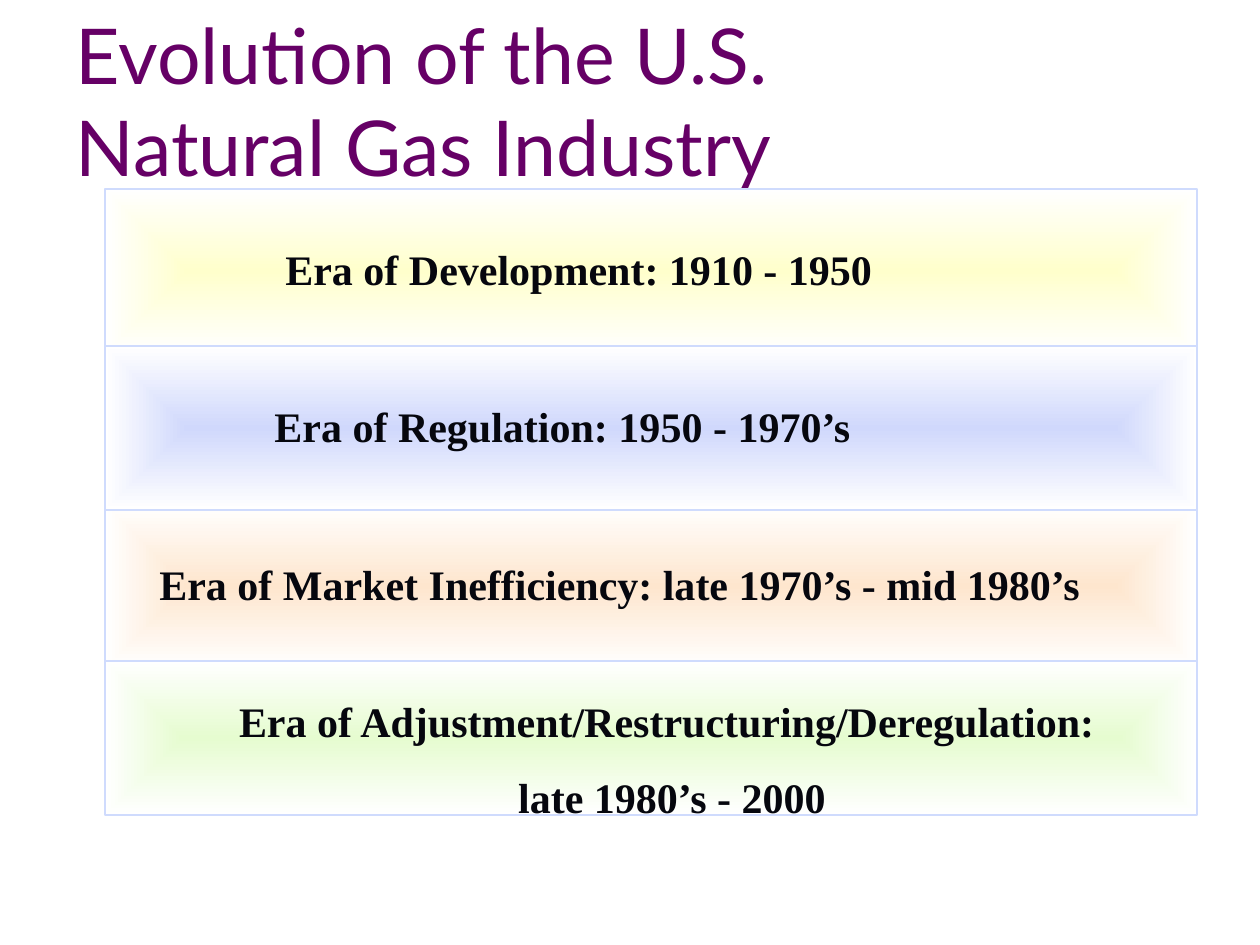
from pptx import Presentation
from pptx.dml.color import RGBColor
from pptx.enum.shapes import MSO_SHAPE
from pptx.enum.text import MSO_ANCHOR, MSO_AUTO_SIZE, PP_ALIGN
from pptx.oxml import parse_xml
from pptx.oxml.ns import nsdecls, qn
from pptx.util import Emu, Inches, Pt

PURPLE = RGBColor(0x66, 0x00, 0x66)
INK = RGBColor(0x06, 0x07, 0x0E)
OUTLINE = RGBColor(0xCF, 0xDB, 0xFD)
WHITE = RGBColor(0xFF, 0xFF, 0xFF)
YELLOW = RGBColor(0xFF, 0xFF, 0xCC)
BLUE = RGBColor(0xD0, 0xD8, 0xFC)
ORANGE = RGBColor(0xFE, 0xE6, 0xCE)
GREEN = RGBColor(0xE6, 0xFC, 0xD0)

PX_PER_INCH = 126
BAND_LEFT, BAND_WIDTH = 105, 1092


def px(*lengths):
    return [Emu(round(length * Inches(1) / PX_PER_INCH)) for length in lengths]


class SlideBuilder:
    title_font = "Lato"
    body_font = "Times New Roman"

    def __init__(self, slide):
        self.slide = slide

    def title(self, text, left, top, width, height):
        title = self.slide.shapes.title
        title.left, title.top, title.width, title.height = px(left, top, width, height)
        frame = title.text_frame
        frame.auto_size = MSO_AUTO_SIZE.NONE
        frame.vertical_anchor = MSO_ANCHOR.MIDDLE
        frame.text = text
        paragraph = frame.paragraphs[0]
        paragraph.alignment = PP_ALIGN.LEFT
        self.format_font(paragraph.font, self.title_font, 44, PURPLE)

    def format_font(self, font, name, size, color, bold=False):
        font.name = name
        font.size = Pt(size)
        font.color.rgb = color
        font.bold = bold

    def band(self, top, height, color):
        shape = self.slide.shapes.add_shape(
            MSO_SHAPE.RECTANGLE, *px(BAND_LEFT, top, BAND_WIDTH, height))
        shape.shadow.inherit = False
        shape.line.color.rgb = OUTLINE
        shape.line.width = Pt(0.75)
        shape.fill.gradient()
        for stop, stop_color in zip(shape.fill.gradient_stops, (color, WHITE)):
            stop.color.rgb = stop_color
        gradient = shape._element.spPr.find(qn("a:gradFill"))
        gradient.replace(gradient.find(qn("a:lin")), parse_xml(
            f'<a:path {nsdecls("a")} path="rect">'
            '<a:fillToRect l="50000" t="50000" r="50000" b="50000"/></a:path>'))

    def label(self, lines, left, top, width, height, alignment):
        frame = self.slide.shapes.add_textbox(*px(left, top, width, height)).text_frame
        frame.word_wrap = True
        frame.auto_size = MSO_AUTO_SIZE.SHAPE_TO_FIT_TEXT
        frame.text = "\n".join(lines)
        for index, paragraph in enumerate(frame.paragraphs):
            paragraph.alignment = alignment
            if index:
                paragraph.space_before = Pt(15)
            self.format_font(paragraph.font, self.body_font, 24, INK, bold=True)


def main():
    presentation = Presentation()
    presentation.slide_width, presentation.slide_height = Inches(10), Inches(7.5)
    builder = SlideBuilder(presentation.slides.add_slide(presentation.slide_layouts[5]))

    builder.title("Evolution of the U.S. \vNatural Gas Industry", 63, 53, 1144, 94)

    bands = [
        (504, 164, ORANGE),
        (189, 164, YELLOW),
        (346, 164, BLUE),
        (661, 154, GREEN),
    ]
    for band in bands:
        builder.band(*band)

    labels = [
        (["Era of Development: 1910 - 1950"], 273, 237, 756, 63, PP_ALIGN.LEFT),
        (["Era of Regulation: 1950 - 1970’s"], 262, 394, 714, 63, PP_ALIGN.LEFT),
        (["Era of Market Inefficiency: late 1970’s - mid 1980’s"],
         147, 552, 1040, 63, PP_ALIGN.LEFT),
        (["Era of Adjustment/Restructuring/Deregulation: ", "late 1980’s - 2000"],
         189, 689, 966, 140, PP_ALIGN.CENTER),
    ]
    for label in labels:
        builder.label(*label)

    presentation.save("out.pptx")


if __name__ == "__main__":
    main()
